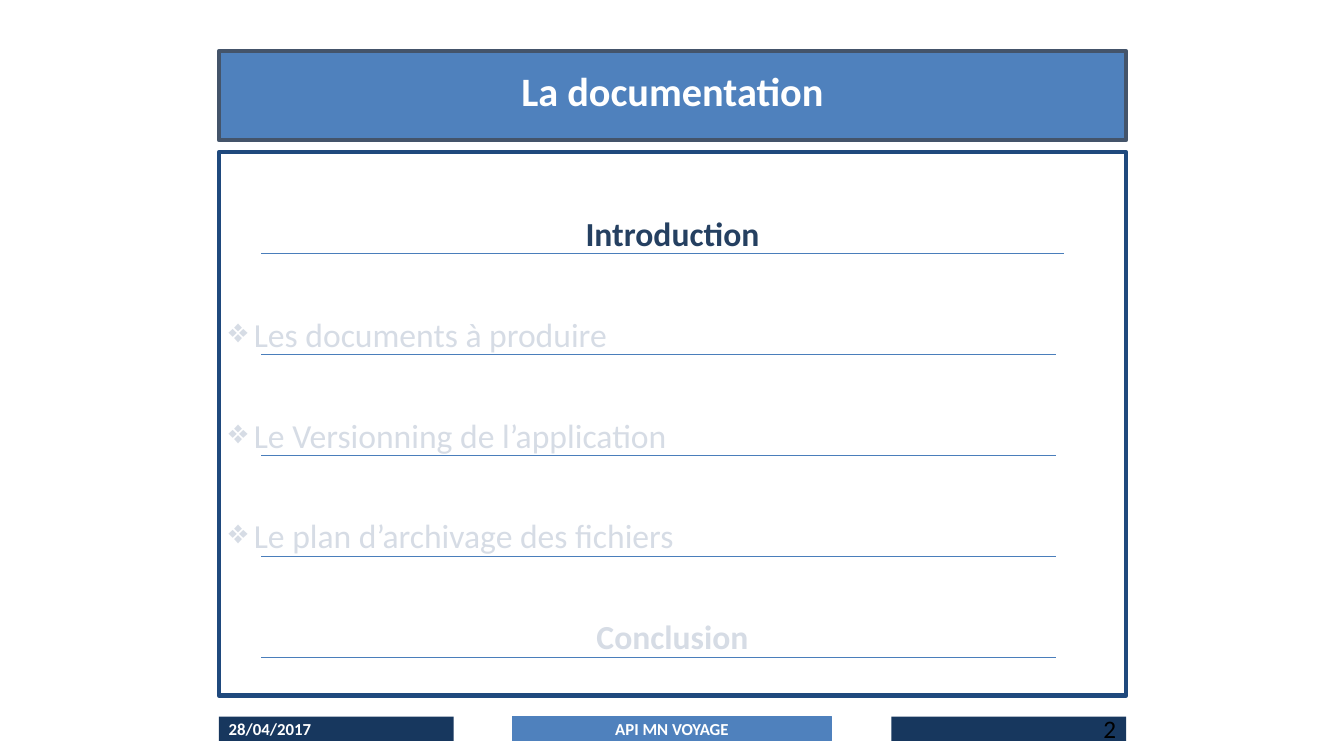
from lxml import etree
from pptx import Presentation
from pptx import util as u
from pptx.dml.color import RGBColor
from pptx.enum import shapes, text
from pptx.oxml.ns import qn

PX = 9144  # EMU, 100 px to the inch
FONT = "Calibri"
WHITE, BLACK = "FFFFFF", "000000"
BLUE, NAVY, DEEP, RULE = "4F81BD", "17375E", "1F497D", "4A7EBB"
SLATE, ACTIVE, FADED = "44546A", "254061", "D6DCE5"
LEFT, CENTER, RIGHT = text.PP_ALIGN.LEFT, text.PP_ALIGN.CENTER, text.PP_ALIGN.RIGHT


def px(n):
    return u.Emu(n * PX)


def rgb(value):
    return RGBColor.from_string(value)


def style(sp, fill=None, line=None, width=0.75):
    if fill:
        sp.fill.solid()
        sp.fill.fore_color.rgb = rgb(fill)
    else:
        sp.fill.background()
    if line:
        sp.line.color.rgb = rgb(line)
        sp.line.width = u.Pt(width)
    else:
        sp.line.fill.background()


def rect(s, box, **look):
    sp = s.shapes.add_shape(shapes.MSO_SHAPE.RECTANGLE, *map(px, box))
    sp.shadow.inherit = False
    style(sp, **look)
    return sp


def write(p, words, size, color, bold=False, align=LEFT, spacing=None, before=0):
    p.alignment = align
    p.line_spacing = spacing
    p.space_before = u.Pt(before)
    r = p.add_run()
    r.text = words
    r.font.name, r.font.size, r.font.bold = FONT, u.Pt(size), bold
    r.font.color.rgb = rgb(color)


def bullet(p, char, indent):
    pPr = p._p.get_or_add_pPr()
    pPr.set("marL", str(px(indent)))
    pPr.set("indent", str(px(-indent)))
    etree.SubElement(pPr, qn("a:buChar"), char=char)


def underline(s, x1, x2, y):
    c = s.shapes.add_connector(shapes.MSO_CONNECTOR.STRAIGHT, px(x1), px(y), px(x2), px(y))
    c.line.color.rgb = rgb(RULE)
    c.line.width = u.Pt(0.75)
    etree.SubElement(c._element.spPr, qn("a:effectLst"))


def title(s, box, words):
    sp = s.shapes.title
    sp.left, sp.top, sp.width, sp.height = map(px, box)
    style(sp, BLUE, SLATE, 3)
    tf = sp.text_frame
    tf.vertical_anchor = text.MSO_ANCHOR.MIDDLE
    tf.margin_bottom = px(9)
    write(tf.paragraphs[0], words, 28.8, WHITE, bold=True, align=CENTER, spacing=0.9)


def agenda(s, box, items, current):
    """Framed list of sections; first and last are centred, the current one is dark."""
    x, y, w, h = box
    tf = rect(s, box, line=DEEP, width=3).text_frame
    tf.word_wrap = True
    tf.vertical_anchor = text.MSO_ANCHOR.TOP
    tf.margin_top = px(65)
    for i, item in enumerate(items):
        p = tf.add_paragraph() if i else tf.paragraphs[0]
        outer = i in (0, len(items) - 1)
        write(p, item, 24, ACTIVE if i == current else FADED, bold=outer,
              align=CENTER if outer else LEFT, spacing=0.9, before=46 if i else 0)
        if not outer:
            bullet(p, "❖", 25)
        end = 838 if i == current else 830
        underline(s, x + 42, x + end, y + 101 + 100 * i)


def footer(s, box, date, label, number):
    x, y, w, h = box
    side, middle = 233, 317
    bars = [
        (x, side, NAVY, None, date, 12, WHITE, True, LEFT),
        (x + (w - middle) // 2, middle, BLUE, BLUE, label, 12, WHITE, True, CENTER),
        (x + w - side, side, NAVY, None, number, 18, BLACK, False, RIGHT),
    ]
    for left, width, fill, line, words, size, color, bold, align in bars:
        tf = rect(s, (left, y, width, h), fill=fill, line=line).text_frame
        tf.vertical_anchor = text.MSO_ANCHOR.MIDDLE
        write(tf.paragraphs[0], words, size, color, bold=bold, align=align)


def main():
    prs = Presentation()
    prs.slide_width, prs.slide_height = px(1333), px(750)
    s = prs.slides.add_slide(prs.slide_layouts[5])
    x, w = 217, 900
    title(s, (x, 51, w, 88), "La documentation")
    agenda(s, (x, 151, w, 539), [
        "Introduction",
        "Les documents à produire",
        "Le Versionning de l’application",
        "Le plan d’archivage des fichiers",
        "Conclusion",
    ], current=0)
    footer(s, (x, 711, w, 24), "28/04/2017", "API MN VOYAGE", "2")
    prs.save("out.pptx")


if __name__ == "__main__":
    main()
